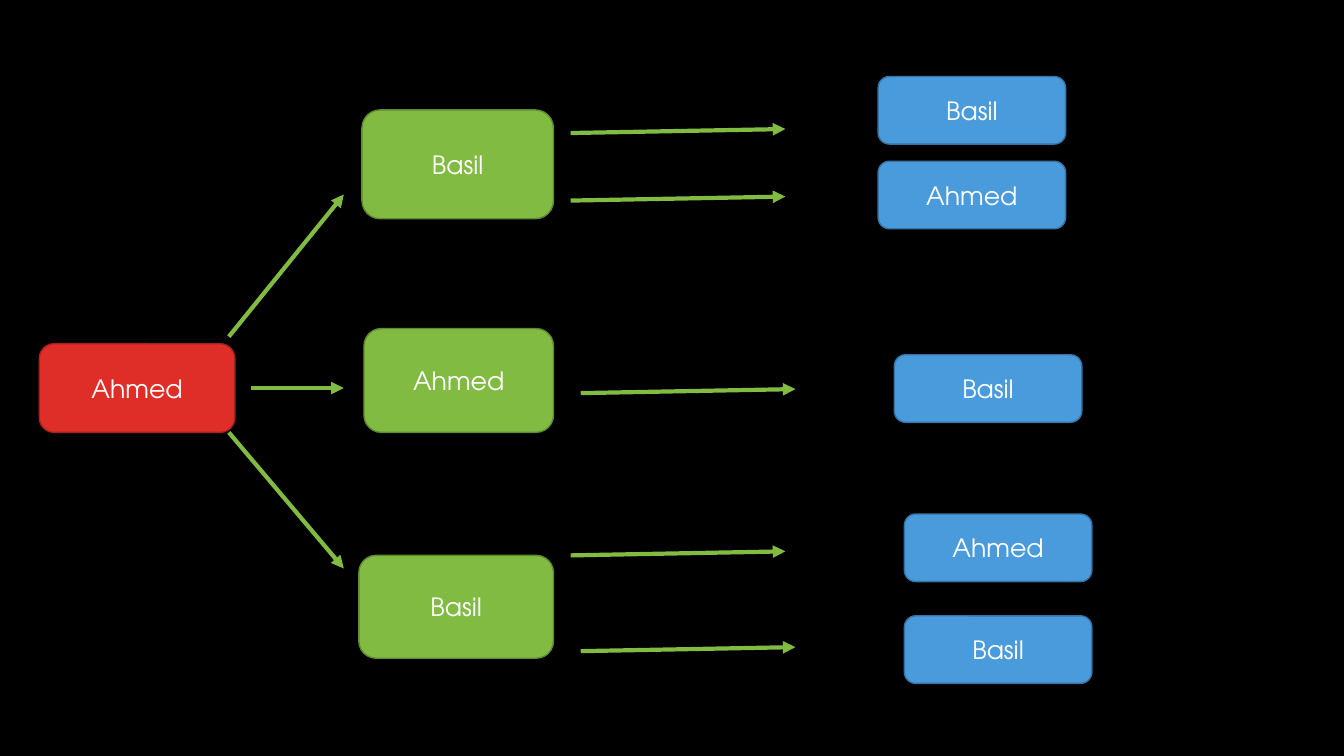
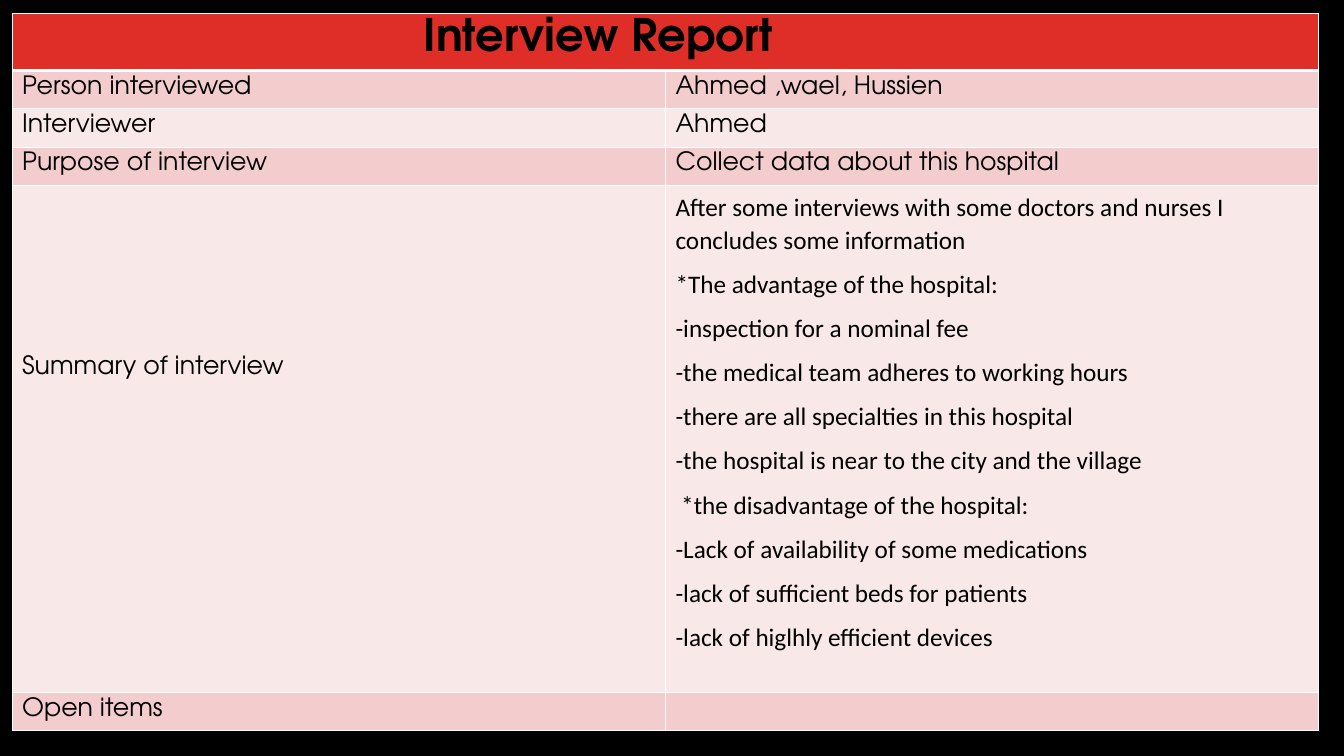
from lxml import etree
from pptx import Presentation
from pptx.dml.color import RGBColor
from pptx.enum.shapes import MSO_CONNECTOR, MSO_SHAPE
from pptx.enum.text import MSO_ANCHOR, PP_ALIGN
from pptx.oxml.ns import qn
from pptx.util import Inches, Pt

ROUNDED = MSO_SHAPE.ROUNDED_RECTANGLE
STRAIGHT = MSO_CONNECTOR.STRAIGHT
CENTER = PP_ALIGN.CENTER
TOP, MIDDLE = MSO_ANCHOR.TOP, MSO_ANCHOR.MIDDLE

# Shared look
HEAD_FONT = "TeX Gyre Adventor"
BODY_FONT = "Calibri"
BLACK, WHITE = "000000", "FFFFFF"
RED, GREEN, BLUE = "DF2E28", "81BB42", "4A9BDC"
EDGE = {RED: "A5221E", GREEN: "5F8A31", BLUE: "3773A3"}
BANDS = ("F3CDCD", "F9E8E8")

# Tree: column origin, colour and (left, top, width, height, name) in the column
LEAF = (1.86, 0.67)
TIERS = [
    (0.39, RED, [(0, 3.41, 1.94, 0.88, "Ahmed")]),
    (3.56, GREEN, [(0.03, 1.09, 1.9, 1.08, "Basil"),
                   (0.05, 3.26, 1.88, 1.03, "Ahmed"),
                   (0, 5.51, 1.93, 1.02, "Basil")]),
    (8.71, BLUE, [(0, 0.76, *LEAF, "Basil"),
                  (0, 1.6, *LEAF, "Ahmed"),
                  (0.16, 3.52, *LEAF, "Basil"),
                  (0.26, 5.1, *LEAF, "Ahmed"),
                  (0.26, 6.11, *LEAF, "Basil")]),
]
# Arrows: column origin and (left, top, run, drop)
LONG = (2.13, -0.04)
ARROWS = [
    (2.27, [(0, 3.34, 1.14, -1.41), (0.22, 3.85, 0.92, 0),
            (0, 4.29, 1.14, 1.35)]),
    (5.66, [(0, 1.32, *LONG), (0, 1.99, *LONG), (0.1, 3.9, *LONG),
            (0.1, 6.46, *LONG), (0, 5.51, *LONG)]),
]

# Report
REPORT_TITLE = "Interview Report"
SUMMARY = [
    "After some interviews with some doctors and nurses I concludes some information",
    "*The advantage of the hospital:",
    "-inspection for a nominal fee",
    "-the medical team adheres to working hours",
    "-there are all specialties in this hospital",
    "-the hospital is near to the city and the village",
    " *the disadvantage of the hospital:",
    "-Lack of availability of some medications",
    "-lack of sufficient beds for patients",
    "-lack of higlhly efficient devices",
]
REPORT_ROWS = [
    ("Person interviewed", ["Ahmed ,wael, Hussien"]),
    ("Interviewer", ["Ahmed"]),
    ("Purpose of interview", ["Collect data about this hospital"]),
    ("Summary of interview", SUMMARY),
    ("Open items", []),
]
TITLE_HEIGHT, ROW_HEIGHT, SUMMARY_HEIGHT = 0.57, 0.38, 5.03


def colour(value):
    return RGBColor.from_string(value)


def add_run(para, text, size=18, font=HEAD_FONT, ink=BLACK, bold=False):
    span = para.add_run()
    span.text = text
    span.font.size = Pt(size)
    span.font.name = font
    span.font.bold = bold
    span.font.color.rgb = colour(ink)


def add_person(page, left, top, width, height, name, fill):
    box = page.shapes.add_shape(ROUNDED, Inches(left), Inches(top),
                                Inches(width), Inches(height))
    box.shadow.inherit = False
    box.fill.solid()
    box.fill.fore_color.rgb = colour(fill)
    box.line.color.rgb = colour(EDGE[fill])
    box.line.width = Pt(1)
    box.text_frame.vertical_anchor = MIDDLE
    para = box.text_frame.paragraphs[0]
    para.alignment = CENTER
    add_run(para, name, ink=WHITE)


def add_arrow(page, left, top, run, drop):
    arrow = page.shapes.add_connector(STRAIGHT, Inches(left), Inches(top),
                                      Inches(left + run), Inches(top + drop))
    arrow.line.color.rgb = colour(GREEN)
    arrow.line.width = Pt(3)
    props = arrow._element.spPr
    etree.SubElement(props.find(qn("a:ln")), qn("a:tailEnd"), type="triangle")
    etree.SubElement(props, qn("a:effectLst"))


def draw_tree(page, left=0, top=0):
    for column, fill, people in TIERS:
        for x, y, width, height, name in people:
            add_person(page, left + column + x, top + y, width, height, name, fill)
    for column, arrows in ARROWS:
        for x, y, run, drop in arrows:
            add_arrow(page, left + column + x, top + y, run, drop)


def style_cell(cell, fill, top_line=1, bottom_line=1):
    """White borders go before the fill, as the schema orders them."""
    props = cell._tc.get_or_add_tcPr()
    for side, width in (("L", 1), ("R", 1), ("T", top_line), ("B", bottom_line)):
        line = etree.SubElement(props, qn(f"a:ln{side}"), w=str(Pt(width)))
        paint = etree.SubElement(line, qn("a:solidFill"))
        etree.SubElement(paint, qn("a:srgbClr"), val=WHITE)
    cell.fill.solid()
    cell.fill.fore_color.rgb = colour(fill)
    cell.vertical_anchor = TOP
    cell.margin_left = cell.margin_right = Inches(0.1)
    cell.margin_top, cell.margin_bottom = Inches(0.05), 0


def space_summary(label, details):
    label.margin_top = Inches(1.69)
    for para in details.text_frame.paragraphs:
        para.line_spacing = 1.07
        para.space_after = Pt(8)


def draw_report(page, left, top, width):
    heights = [TITLE_HEIGHT] + [SUMMARY_HEIGHT if lines is SUMMARY else ROW_HEIGHT
                                for _, lines in REPORT_ROWS]
    table = page.shapes.add_table(len(heights), 2, Inches(left), Inches(top),
                                  Inches(width), Inches(sum(heights))).table
    table.first_row = table.horz_banding = False
    for row, height in zip(table.rows, heights):
        row.height = Inches(height)

    # Title row
    title = table.cell(0, 0)
    title.merge(table.cell(0, 1))
    for cell in table.rows[0].cells:
        style_cell(cell, RED, bottom_line=3)
    title.margin_left = Inches(4.08)
    add_run(title.text_frame.paragraphs[0], REPORT_TITLE, size=32, bold=True)

    # Label and detail rows
    for index, (name, lines) in enumerate(REPORT_ROWS):
        label, details = table.cell(index + 1, 0), table.cell(index + 1, 1)
        for cell in (label, details):
            style_cell(cell, BANDS[index % 2], top_line=1 if index else 3)
        add_run(label.text_frame.paragraphs[0], name)
        font = BODY_FONT if lines is SUMMARY else HEAD_FONT
        for number, line in enumerate(lines):
            frame = details.text_frame
            para = frame.add_paragraph() if number else frame.paragraphs[0]
            add_run(para, line, font=font)
        if lines is SUMMARY:
            space_summary(label, details)


def main():
    deck = Presentation()
    deck.slide_width, deck.slide_height = Inches(13.33), Inches(7.5)
    backdrop = deck.slide_master.background.fill
    backdrop.solid()
    backdrop.fore_color.rgb = colour(BLACK)
    blank = deck.slide_layouts[6]
    draw_tree(deck.slides.add_slide(blank))
    draw_report(deck.slides.add_slide(blank), 0.12, 0.13, 12.96)
    deck.save("out.pptx")


if __name__ == "__main__":
    main()
